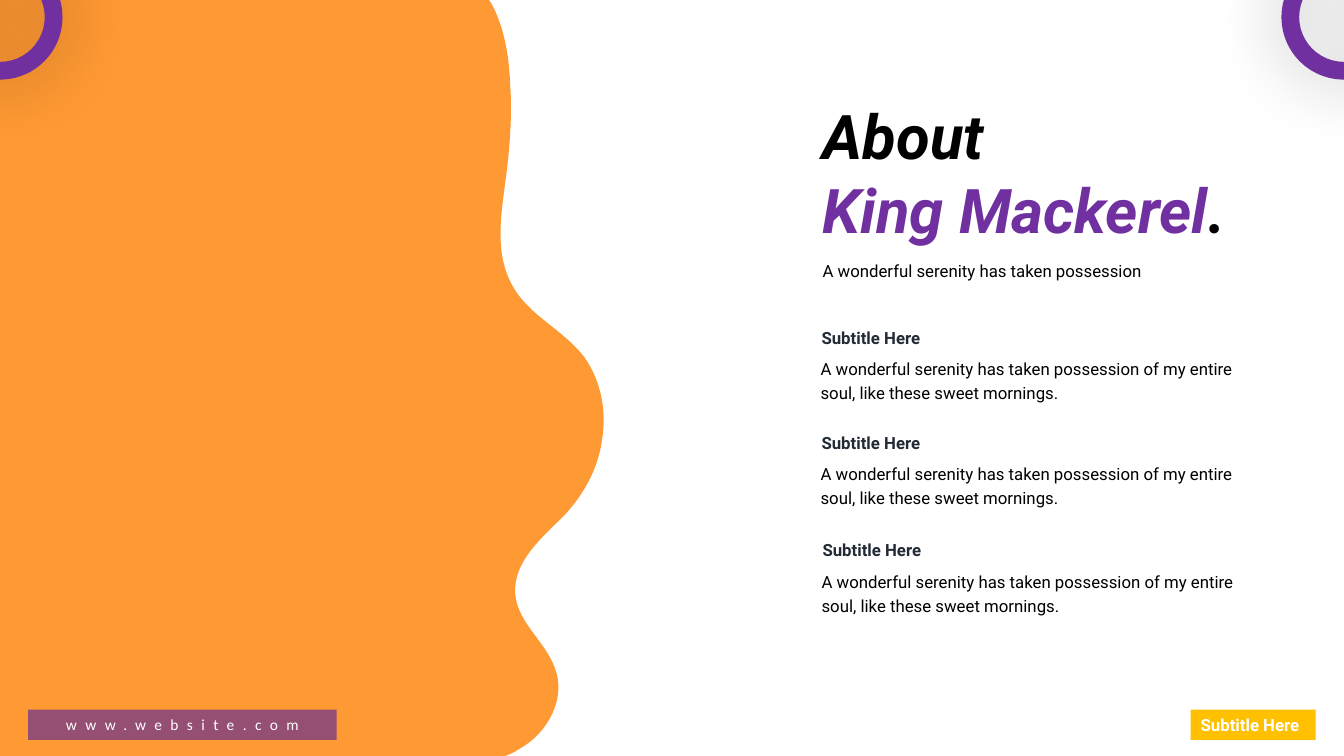
from lxml.etree import SubElement
from pptx import Presentation
from pptx.dml.color import RGBColor
from pptx.enum.shapes import MSO_SHAPE as SHAPE
from pptx.enum.text import MSO_ANCHOR as ANCHOR, MSO_AUTO_SIZE as AUTO_SIZE, PP_ALIGN as ALIGN
from pptx.oxml.ns import qn
from pptx.util import Inches, Pt

ORANGE = RGBColor(0xFF, 0x99, 0x33)
PURPLE = RGBColor(0x70, 0x30, 0xA0)
PLUM = RGBColor(0x95, 0x4F, 0x72)
YELLOW = RGBColor(0xFF, 0xC0, 0x00)
NAVY = RGBColor(0x22, 0x2A, 0x35)
BLACK = RGBColor(0, 0, 0)
WHITE = RGBColor(0xFF, 0xFF, 0xFF)

SUBTITLE = "Subtitle Here"
BODY = ("A wonderful serenity has taken possession of my entire soul, "
        "like these sweet mornings.")

prs = Presentation()
prs.slide_width, prs.slide_height = Inches(13.33), Inches(7.5)
slide = prs.slides.add_slide(prs.slide_layouts[6])
shapes = slide.shapes


def write(frame, lines, size, spacing=None, font="Roboto", bold=None, italic=None):
    """Fill a text frame; each line is a list of (text, colour) runs."""
    for number, line in enumerate(lines):
        paragraph = frame.add_paragraph() if number else frame.paragraphs[0]
        paragraph.alignment = ALIGN.LEFT
        if spacing:
            paragraph.line_spacing = spacing
        for text, colour in line:
            run = paragraph.add_run()
            run.text = text
            run.font.name, run.font.size = font, Pt(size)
            run.font.bold, run.font.italic = bold, italic
            run.font.color.rgb = colour


def paint(shape, colour):
    shape.shadow.inherit = False
    shape.fill.solid()
    shape.fill.fore_color.rgb = colour
    shape.line.fill.background()
    return shape


# Wavy orange panel: each curve holds two control points and an end point
wave_curves = [
    ((5.09, 7.47), (5.12, 7.45), (5.15, 7.43)),
    ((5.41, 7.29), (5.60, 6.97), (5.52, 6.68)),
    ((5.44, 6.38), (5.13, 6.19), (5.11, 5.89)),
    ((5.09, 5.57), (5.37, 5.34), (5.59, 5.12)),
    ((5.78, 4.92), (5.93, 4.66), (5.97, 4.37)),
    ((6.02, 4.08), (5.96, 3.78), (5.80, 3.55)),
    ((5.59, 3.27), (5.24, 3.13), (5.08, 2.83)),
    ((4.89, 2.49), (4.98, 2.07), (5.03, 1.67)),
    ((5.06, 1.40), (5.08, 1.11), (5.06, 0.84)),
    ((5.05, 0.56), (5.00, 0.26), (4.87, 0.03)),
]
corners = [(0, 0), (0, 7.5), (5.01, 7.5), (5.06, 7.48)]
anchors = corners + [curve[-1] for curve in wave_curves]
builder = shapes.build_freeform(Inches(4.85), 0)
builder.add_line_segments([(Inches(x), Inches(y)) for x, y in anchors], close=True)
wave = paint(builder.convert_to_shape(), ORANGE)

# Turn the straight segments along the wave into Bézier curves
outline = wave._element.spPr.find(".//" + qn("a:path"))
wave.width = Inches(5.99)
outline.set("w", str(Inches(5.99)))
segments = outline.findall(qn("a:lnTo"))[len(corners):]
for segment, curve in zip(segments, wave_curves):
    bezier = SubElement(outline, qn("a:cubicBezTo"))
    for x, y in curve:
        SubElement(bezier, qn("a:pt"), x=str(Inches(x)), y=str(Inches(y)))
    outline.replace(segment, bezier)

# Heading, lead and the three subtitled paragraphs
heading = [[("About", BLACK)], [("King Mackerel", PURPLE), (".", BLACK)]]
lead = [[("A wonderful serenity has taken possession", BLACK)]]
texts = [
    (8.06, 0.92, 5.22, 1.58, heading, dict(size=44, bold=True, italic=True)),
    (8.06, 2.44, 4.42, 0.37, lead, dict(size=12, spacing=1.5)),
]
for left, top in [(8.05, 3.14), (8.05, 4.18), (8.06, 5.25)]:
    texts += [
        (left - 0.01, top + 0.33, 4.41, 0.56, [[(BODY, BLACK)]], dict(size=12, spacing=1.2)),
        (left, top, 1.26, 0.34, [[(SUBTITLE, NAVY)]], dict(size=12, spacing=1.3, bold=True)),
    ]
for left, top, width, height, lines, style in texts:
    box = shapes.add_textbox(Inches(left), Inches(top), Inches(width), Inches(height))
    box.text_frame.word_wrap = True
    box.text_frame.auto_size = AUTO_SIZE.SHAPE_TO_FIT_TEXT
    write(box.text_frame, lines, **style)

# Footer labels
tag = paint(shapes.add_shape(
    SHAPE.RECTANGLE, Inches(11.81), Inches(7.04), Inches(1.24), Inches(0.3)), YELLOW)
tag.text_frame.word_wrap = False
tag.text_frame.auto_size = AUTO_SIZE.SHAPE_TO_FIT_TEXT
tag.text_frame.vertical_anchor = ANCHOR.TOP
write(tag.text_frame, [[(SUBTITLE, WHITE)]], 12, bold=True)

website = paint(shapes.add_shape(
    SHAPE.ROUNDED_RECTANGLE, Inches(0.28), Inches(7.04), Inches(3.06), Inches(0.3)), PLUM)
website.adjustments[0] = 0
website.text_frame.vertical_anchor = ANCHOR.MIDDLE
write(website.text_frame, [[("www.website.com", WHITE)]], 11, font="Calibri")
address = website.text_frame.paragraphs[0]
address.alignment = ALIGN.CENTER
address.runs[0].font._element.set("spc", "600")

# Corner rings with a soft shadow
for left in (-0.62, 12.71):
    ring = paint(shapes.add_shape(
        SHAPE.DONUT, Inches(left), Inches(-0.45), Inches(1.24), Inches(1.24)), PURPLE)
    ring.adjustments[0] = 0.142
    effects = ring._element.spPr.find(qn("a:effectLst"))
    glow = SubElement(effects, qn("a:outerShdw"), blurRad=str(Pt(49)), dist="0",
                      dir="0", algn="ctr", rotWithShape="0")
    tint = SubElement(glow, qn("a:srgbClr"), val="000000")
    SubElement(tint, qn("a:alpha"), val="33000")

prs.save("out.pptx")
